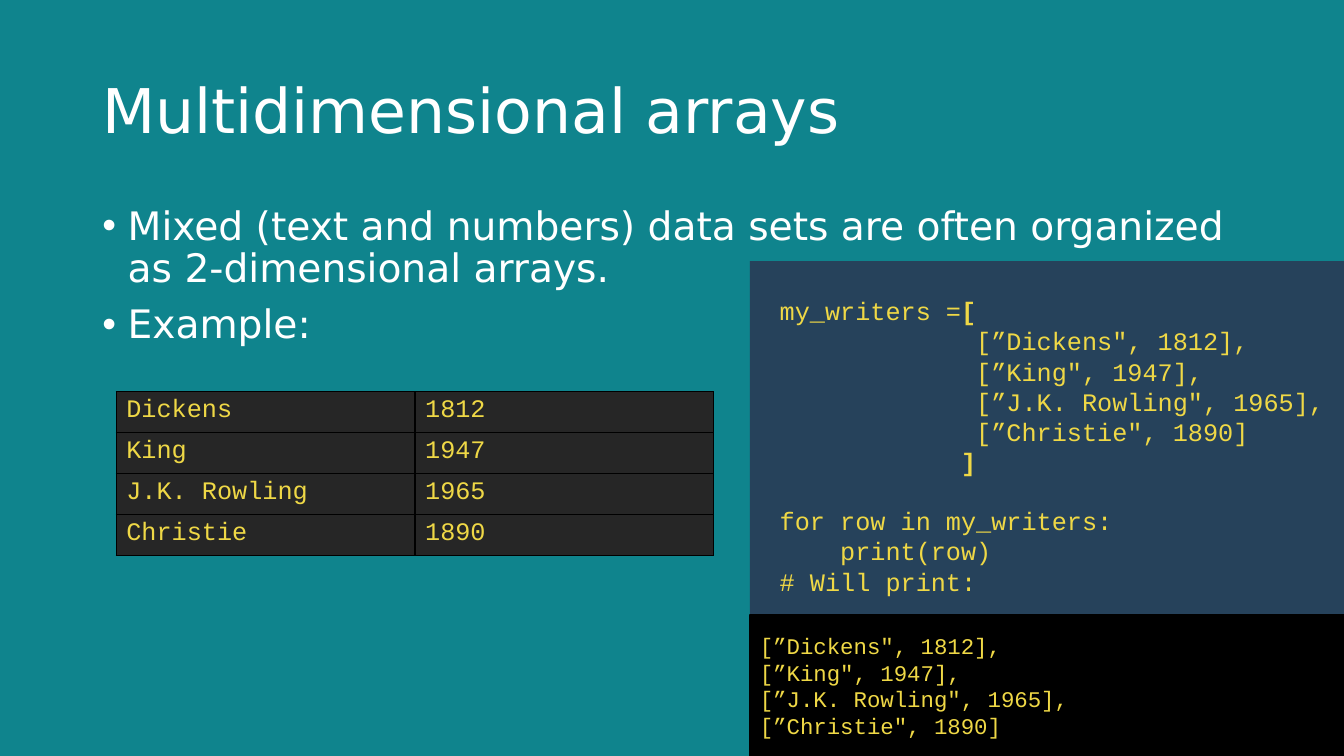
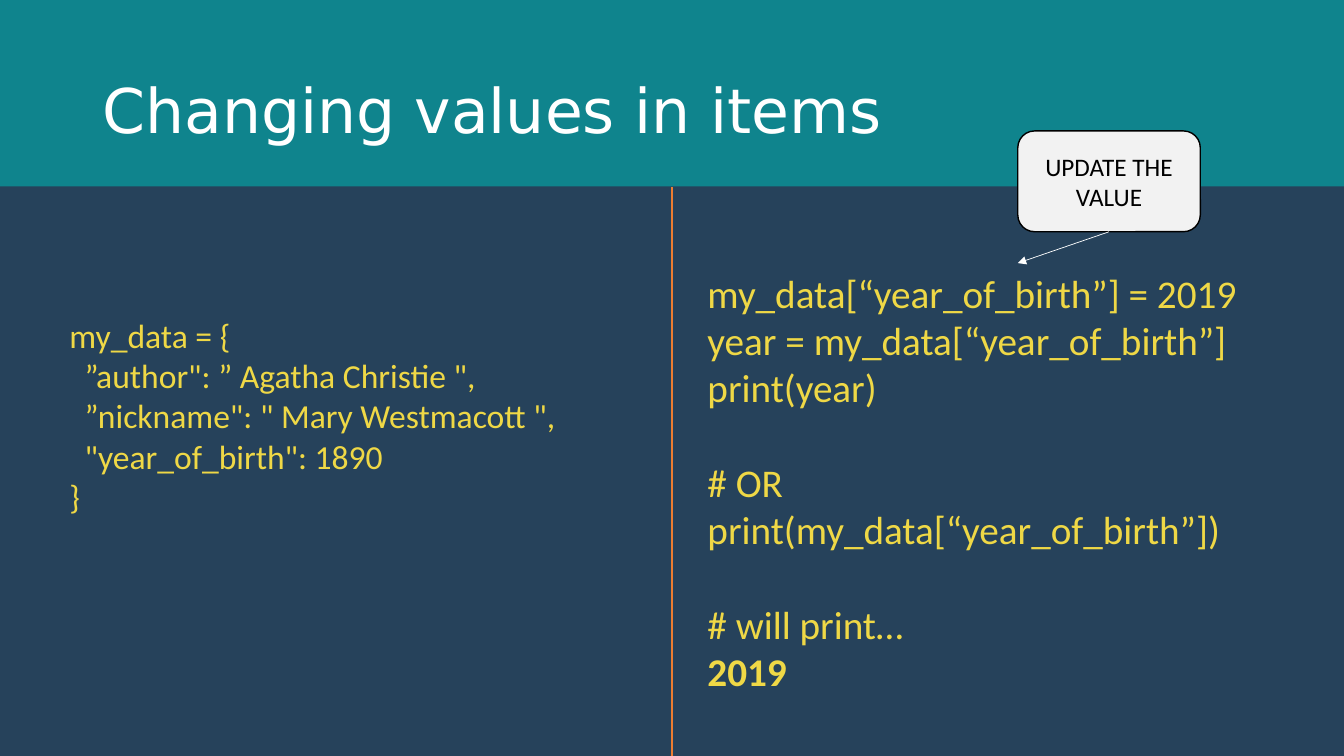
from dataclasses import dataclass
from typing import Sequence

from lxml.etree import SubElement
from pptx import Presentation
from pptx.dml.color import RGBColor
from pptx.enum.shapes import MSO_CONNECTOR as Connector
from pptx.enum.shapes import MSO_SHAPE as Preset
from pptx.enum.text import MSO_ANCHOR as Anchor
from pptx.enum.text import PP_ALIGN as Align
from pptx.oxml.ns import qn
from pptx.util import Cm, Pt

TEAL, NAVY, CHARCOAL, BLACK = "0F848D", "26425B", "262626", "000000"
YELLOW, WHITE, PALE, ORANGE = "EFD846", "FFFFFF", "F2F2F2", "ED7D31"
HEADING_FONT, MONO_FONT, PLAIN_FONT = "DejaVu Sans", "Courier New", "Calibri"
SLIDE_WIDTH, SLIDE_HEIGHT = 33.87, 19.05


@dataclass(frozen=True)
class Box:
    """A rectangle in centimetres."""
    left: float
    top: float
    width: float
    height: float

    def lengths(self) -> tuple:
        return Cm(self.left), Cm(self.top), Cm(self.width), Cm(self.height)


@dataclass(frozen=True)
class TextStyle:
    font: str
    size: float
    color: str
    line_spacing: float | None = None
    align: Align = Align.LEFT


@dataclass(frozen=True)
class Line:
    """One line of text; bold_end is its bold tail, gap the points above it."""
    text: str
    bold_end: str = ""
    gap: float = 0


TITLE = TextStyle(HEADING_FONT, 44, WHITE, 0.9)
BODY = TextStyle(HEADING_FONT, 28, WHITE, 0.9)
MONO = TextStyle(MONO_FONT, 18, YELLOW)
CONSOLE = TextStyle(MONO_FONT, 16, YELLOW)
DATA_CODE = TextStyle(PLAIN_FONT, 24, YELLOW)
UPDATE_CODE = TextStyle(PLAIN_FONT, 28, YELLOW)
CALLOUT = TextStyle(PLAIN_FONT, 18, BLACK, align=Align.CENTER)

WRITERS = [("Dickens", 1812), ("King", 1947), ("J.K. Rowling", 1965), ("Christie", 1890)]
MONO_BLANK, UPDATE_BLANK = 20.4, 34.2


def rgb(color: str) -> RGBColor:
    return RGBColor.from_string(color)


def fill_solid(fill, color: str) -> None:
    fill.solid()
    fill.fore_color.rgb = rgb(color)


def add_bullet(paragraph) -> None:
    properties = paragraph._p.get_or_add_pPr()
    properties.set("marL", str(Cm(0.64)))
    properties.set("indent", str(-Cm(0.64)))
    SubElement(properties, qn("a:buFont"), typeface="Arial")
    SubElement(properties, qn("a:buChar"), char="•")


def write_lines(frame, lines: Sequence[Line], style: TextStyle, bullets: bool = False) -> None:
    frame.word_wrap = True
    for index, line in enumerate(lines):
        paragraph = frame.add_paragraph() if index else frame.paragraphs[0]
        if line.text:
            paragraph.add_run().text = line.text
        if line.bold_end:
            run = paragraph.add_run()
            run.text = line.bold_end
            run.font.bold = True
        paragraph.alignment = style.align
        if style.line_spacing:
            paragraph.line_spacing = style.line_spacing
        if line.gap:
            paragraph.space_before = Pt(line.gap)
        if bullets:
            add_bullet(paragraph)
        font = paragraph.font
        font.name, font.size = style.font, Pt(style.size)
        font.color.rgb = rgb(style.color)


def add_text(slide, box: Box, lines: Sequence[Line], style: TextStyle,
             anchor: Anchor = Anchor.TOP, bullets: bool = False) -> None:
    frame = slide.shapes.add_textbox(*box.lengths()).text_frame
    frame.vertical_anchor = anchor
    write_lines(frame, lines, style, bullets)


def add_panel(slide, box: Box, color: str, outline: str | None = None,
              preset: Preset = Preset.RECTANGLE):
    shape = slide.shapes.add_shape(preset, *box.lengths())
    shape.shadow.inherit = False
    fill_solid(shape.fill, color)
    if outline:
        shape.line.color.rgb = rgb(outline)
        shape.line.width = Pt(1)
    else:
        shape.line.fill.background()
    return shape


def add_line(slide, color: str, width: float, end: tuple[float, float] = (0, 0)):
    x, y = map(Cm, end)
    connector = slide.shapes.add_connector(Connector.STRAIGHT, x, y, x, y)
    connector.line.color.rgb = rgb(color)
    connector.line.width = Pt(width)
    SubElement(connector._element.spPr, qn("a:effectLst"))
    return connector


def add_border(cell, color: str, width: float) -> None:
    properties = cell._tc.get_or_add_tcPr()
    for index, side in enumerate(("lnL", "lnR", "lnT", "lnB")):
        border = properties.makeelement(qn(f"a:{side}"), {"w": str(Pt(width))})
        solid = SubElement(border, qn("a:solidFill"))
        SubElement(solid, qn("a:srgbClr"), val=color)
        properties.insert(index, border)


def add_writer_table(slide, left: float, top: float) -> None:
    column_width, row_height = 7.53, 1.03
    box = Box(left, top, 2 * column_width, len(WRITERS) * row_height)
    table = slide.shapes.add_table(len(WRITERS), 2, *box.lengths()).table
    table.first_row = table.horz_banding = False
    for row, writer in enumerate(WRITERS):
        for column, value in enumerate(writer):
            cell = table.cell(row, column)
            write_lines(cell.text_frame, [Line(str(value))], MONO)
            fill_solid(cell.fill, CHARCOAL)
            add_border(cell, BLACK, 0.96)


def add_titled_slide(presentation, title: str):
    slide = presentation.slides.add_slide(presentation.slide_layouts[6])
    add_text(slide, Box(2.33, 1.01, 29.21, 3.68), [Line(title)], TITLE, Anchor.MIDDLE)
    return slide


def build_arrays_slide(presentation) -> None:
    slide = add_titled_slide(presentation, "Multidimensional arrays")
    add_text(slide, Box(2.33, 5.07, 29.21, 12.09), [
        Line("Mixed (text and numbers) data sets are often organized as 2-dimensional arrays."),
        Line("Example:", gap=10),
    ], BODY, bullets=True)
    add_writer_table(slide, 2.93, 9.87)

    rows = [f'[”{name}", {year}]' for name, year in WRITERS]
    rows = [f"{row}," for row in rows[:-1]] + rows[-1:]
    add_panel(slide, Box(18.9, 6.58, 14.97, 8.92), NAVY)
    add_text(slide, Box(19.4, 7.32, 14.4, 7.87), [
        Line("my_writers =", "["),
        *(Line(" " * 13 + row) for row in rows),
        Line(" " * 12, "]"),
        Line("for row in my_writers:", gap=MONO_BLANK),
        Line("    print(row)"),
        Line("# Will print:"),
    ], MONO)
    console = add_panel(slide, Box(18.9, 15.5, 14.97, 3.55), BLACK, BLACK)
    write_lines(console.text_frame, [Line(row) for row in rows], CONSOLE)


def build_values_slide(presentation) -> None:
    slide = add_titled_slide(presentation, "Changing values in items")
    panel = add_panel(slide, Box(0, 4.7, SLIDE_WIDTH, 14.35), NAVY)
    add_text(slide, Box(1.5, 7.8, 15.4, 5.33), [
        Line("my_data = {"),
        Line('  ”author": ” Agatha Christie ",'),
        Line('  ”nickname": " Mary Westmacott ",'),
        Line('  "year_of_birth": 1890'),
        Line("}"),
    ], DATA_CODE)
    add_text(slide, Box(17.58, 6.65, 15.65, 10.92), [
        Line("my_data[“year_of_birth”] = 2019"),
        Line("year = my_data[“year_of_birth”]"),
        Line("print(year)"),
        Line("# OR", gap=UPDATE_BLANK),
        Line("print(my_data[“year_of_birth”])"),
        Line("# will print…", gap=UPDATE_BLANK),
        Line("", "2019"),
    ], UPDATE_CODE)

    divider = add_line(slide, ORANGE, 1.5)
    divider.begin_connect(panel, 2)
    divider.end_connect(panel, 0)

    callout = add_panel(slide, Box(25.65, 3.3, 4.6, 2.54), PALE, BLACK, Preset.ROUNDED_RECTANGLE)
    write_lines(callout.text_frame, [Line("UPDATE THE VALUE")], CALLOUT)
    arrow = add_line(slide, WHITE, 0.5, end=(25.65, 6.63))
    arrow.begin_connect(callout, 2)
    SubElement(arrow.line._get_or_add_ln(), qn("a:tailEnd"), type="triangle")


def main() -> None:
    presentation = Presentation()
    presentation.slide_width, presentation.slide_height = Cm(SLIDE_WIDTH), Cm(SLIDE_HEIGHT)
    fill_solid(presentation.slide_master.background.fill, TEAL)
    build_arrays_slide(presentation)
    build_values_slide(presentation)
    presentation.save("out.pptx")


if __name__ == "__main__":
    main()
